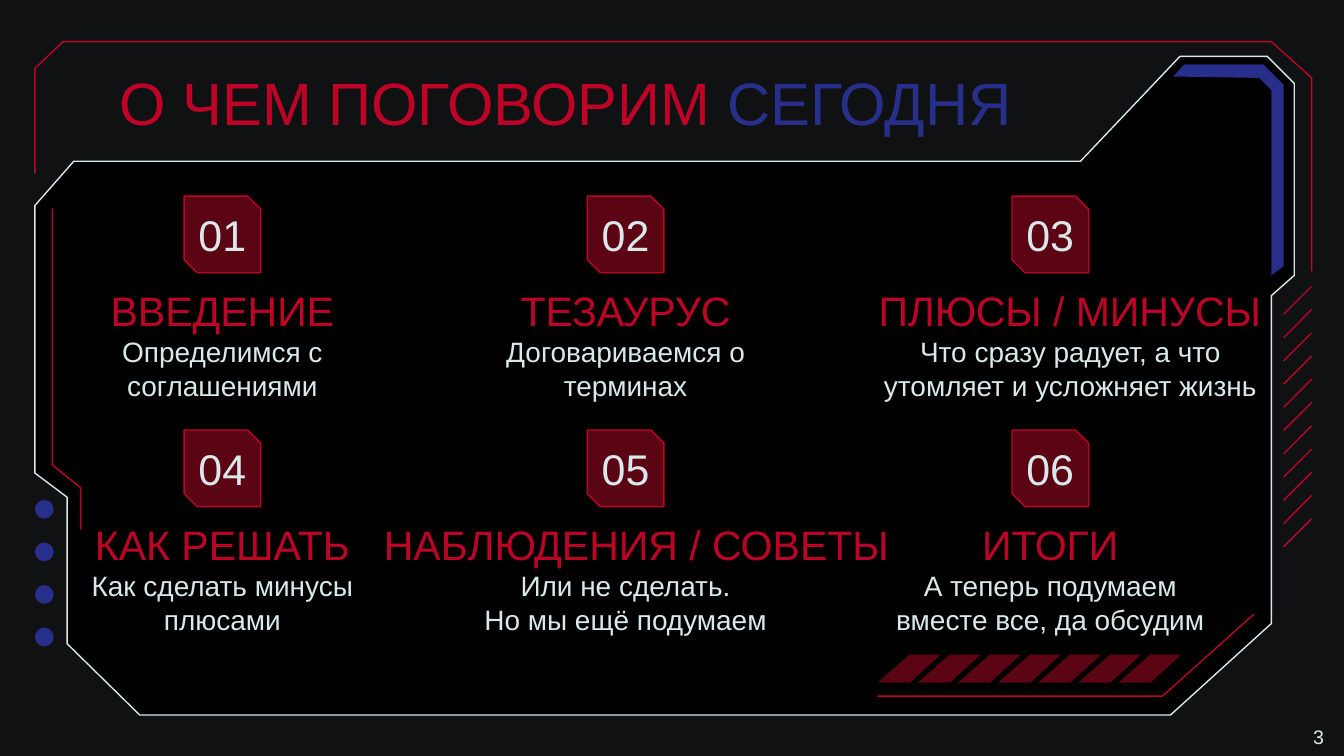
"""Build the agenda slide with six numbered topics."""
import lxml.etree
import pptx
import pptx.dml.color
import pptx.enum.shapes
import pptx.enum.text
import pptx.oxml.ns
import pptx.util

Inches = pptx.util.Inches
RGBColor = pptx.dml.color.RGBColor
Shape = pptx.enum.shapes.MSO_SHAPE
Align = pptx.enum.text.PP_ALIGN
Anchor = pptx.enum.text.MSO_ANCHOR

NIGHT = RGBColor(0x10, 0x11, 0x13)
BLACK = RGBColor(0x00, 0x00, 0x00)
RED = RGBColor(0xBD, 0x04, 0x27)
WINE = RGBColor(0x5B, 0x04, 0x13)
BLUE = RGBColor(0x27, 0x2F, 0x8B)
PALE = RGBColor(0xDA, 0xE8, 0xEC)

PANEL = [(8.78, 0.42), (8.04, 1.2), (0.55, 1.2), (0.26, 1.53), (0.26, 3.52),
         (0.5, 3.7), (0.5, 4.79), (1.04, 5.32), (8.71, 5.32), (9.46, 4.64),
         (9.46, 2.2), (9.63, 2.05), (9.63, 0.62), (9.43, 0.42)]
CORNER = [(8.81, 0.48), (8.73, 0.57), (9.37, 0.58), (9.46, 0.67),
          (9.46, 2.05), (9.55, 1.98), (9.55, 0.63), (9.4, 0.48)]
TRACES = [
    [(0.26, 1.29), (0.26, 0.51), (0.47, 0.31), (9.46, 0.31), (9.76, 0.58), (9.76, 2.02)],
    [(0.39, 1.55), (0.39, 3.46), (0.6, 3.63), (0.6, 3.94)],
    [(6.53, 5.18), (8.65, 5.18), (9.33, 4.57)],
]

COLS = [1.37, 4.37, 7.53]
ROWS = [1.46, 3.2]
TOPICS = [
    ("ВВЕДЕНИЕ", 0.29, 2.73, "Определимся с соглашениями", 0.29, 2.73),
    ("ТЕЗАУРУС", 3.29, 2.73, "Договариваемся о терминах", 3.29, 2.73),
    ("ПЛЮСЫ / МИНУСЫ", 6.39, 3.14,
     "Что сразу радует, а что\nутомляет и усложняет жизнь", 6.13, 3.67),
    ("КАК РЕШАТЬ", 0.29, 2.73, "Как сделать минусы плюсами", 0.29, 2.73),
    ("НАБЛЮДЕНИЯ / СОВЕТЫ", 2.7, 4.07,
     "Или не сделать.\vНо мы ещё подумаем", 3.29, 2.73),
    ("ИТОГИ", 6.45, 2.73, "А теперь подумаем вместе все, да обсудим", 6.45, 2.73),
]


def paint(shape, fill=None, edge=None):
    """Give a shape its fill and outline, without a shadow."""
    shape.shadow.inherit = False
    if fill is None:
        shape.fill.background()
    else:
        shape.fill.solid()
        shape.fill.fore_color.rgb = fill
    if edge is None:
        shape.line.fill.background()
    else:
        shape.line.color.rgb = edge
        shape.line.width = pptx.util.Pt(0.75)


def draw(slide, points, fill=None, edge=None, close=True):
    """Draw an outline through points given in inches."""
    spots = [(Inches(x), Inches(y)) for x, y in points]
    pen = slide.shapes.build_freeform(*spots[0])
    pen.add_line_segments(spots[1:], close=close)
    paint(pen.convert_to_shape(), fill, edge)


def stroke(slide, start, end):
    """Draw a thin red straight line."""
    ends = [Inches(v) for v in start + end]
    line = slide.shapes.add_connector(pptx.enum.shapes.MSO_CONNECTOR.STRAIGHT, *ends)
    line.line.color.rgb = RED
    line.line.width = pptx.util.Pt(0.75)
    lxml.etree.SubElement(line._element.spPr, pptx.oxml.ns.qn("a:effectLst"))


def style(part, size, color, align):
    """Format one paragraph."""
    part.alignment = align
    part.font.name = "Arial"
    part.font.size = pptx.util.Pt(size)
    part.font.color.rgb = color


def fit(frame, inset, anchor):
    """Set the margins, anchor and wrapping of a text frame."""
    frame.auto_size = pptx.enum.text.MSO_AUTO_SIZE.NONE
    frame.margin_left = frame.margin_right = Inches(inset)
    frame.margin_top = frame.margin_bottom = Inches(inset)
    frame.vertical_anchor = anchor
    frame.word_wrap = True


def write(slide, text, box, size, color, anchor=Anchor.TOP, align=Align.CENTER, inset=0.1):
    """Add a text box with one paragraph for each line of text."""
    frame = slide.shapes.add_textbox(*[Inches(v) for v in box]).text_frame
    fit(frame, inset, anchor)
    frame.text = text
    for part in frame.paragraphs:
        style(part, size, color, align)


def badge(slide, text, left, top):
    """Add a snipped square with a number over it."""
    shape = slide.shapes.add_shape(Shape.SNIP_2_DIAG_RECTANGLE, Inches(left),
                                   Inches(top), Inches(0.57), Inches(0.57))
    shape.adjustments[0] = 0
    shape.adjustments[1] = 0.17
    paint(shape, WINE, RED)
    write(slide, text, (left - 0.2, top + 0.11, 0.97, 0.35), 23, PALE, Anchor.MIDDLE)


def decor(slide):
    """Draw the panel and its trim."""
    draw(slide, PANEL, BLACK, PALE)
    for i in range(11):
        top = 2.13 + i * 1.73 / 10
        stroke(slide, (9.76, top), (9.55, top + 0.21))
    draw(slide, CORNER, BLUE)
    for trace in TRACES:
        draw(slide, trace, edge=RED, close=False)
    for i in range(4):
        dot = slide.shapes.add_shape(Shape.OVAL, Inches(0.26), Inches(3.72 + i * 0.95 / 3),
                                     Inches(0.14), Inches(0.14))
        paint(dot, BLUE)
    for i in range(7):
        x = 6.53 + i * 1.79 / 6
        draw(slide, [(x + 0.24, 4.87), (x, 5.08), (x + 0.24, 5.08), (x + 0.47, 4.87)], WINE)


def head(slide):
    """Fill the title in two colours."""
    title = slide.shapes.title
    title.left, title.top = Inches(0.79), Inches(0.47)
    title.width, title.height = Inches(7.11), Inches(0.65)
    fit(title.text_frame, 0.1, Anchor.BOTTOM)
    part = title.text_frame.paragraphs[0]
    style(part, 32, RED, Align.LEFT)
    for text, color in (("О ЧЕМ ПОГОВОРИМ ", RED), ("СЕГОДНЯ", BLUE)):
        run = part.add_run()
        run.text = text
        run.font.color.rgb = color


def main():
    """Build and save the slide."""
    deck = pptx.Presentation()
    deck.slide_width = Inches(10)
    deck.slide_height = Inches(10 * 9 / 16)
    slide = deck.slides.add_slide(deck.slide_layouts[5])
    slide.background.fill.solid()
    slide.background.fill.fore_color.rgb = NIGHT
    decor(slide)
    head(slide)
    for i, (name, left, wide, note, start, span) in enumerate(TOPICS):
        top = ROWS[i // 3]
        badge(slide, f"{i + 1:02}", COLS[i % 3], top)
        write(slide, name, (left, top + 0.61, wide, 0.52), 22, RED, Anchor.BOTTOM)
        write(slide, note, (start, top + 0.93, span, 0.6), 15, PALE)
    write(slide, "3", (9.68, 5.34, 0.3, 0.28), 10.5, PALE,
          Anchor.MIDDLE, Align.LEFT, 0.09)
    deck.save("out.pptx")


if __name__ == "__main__":
    main()
